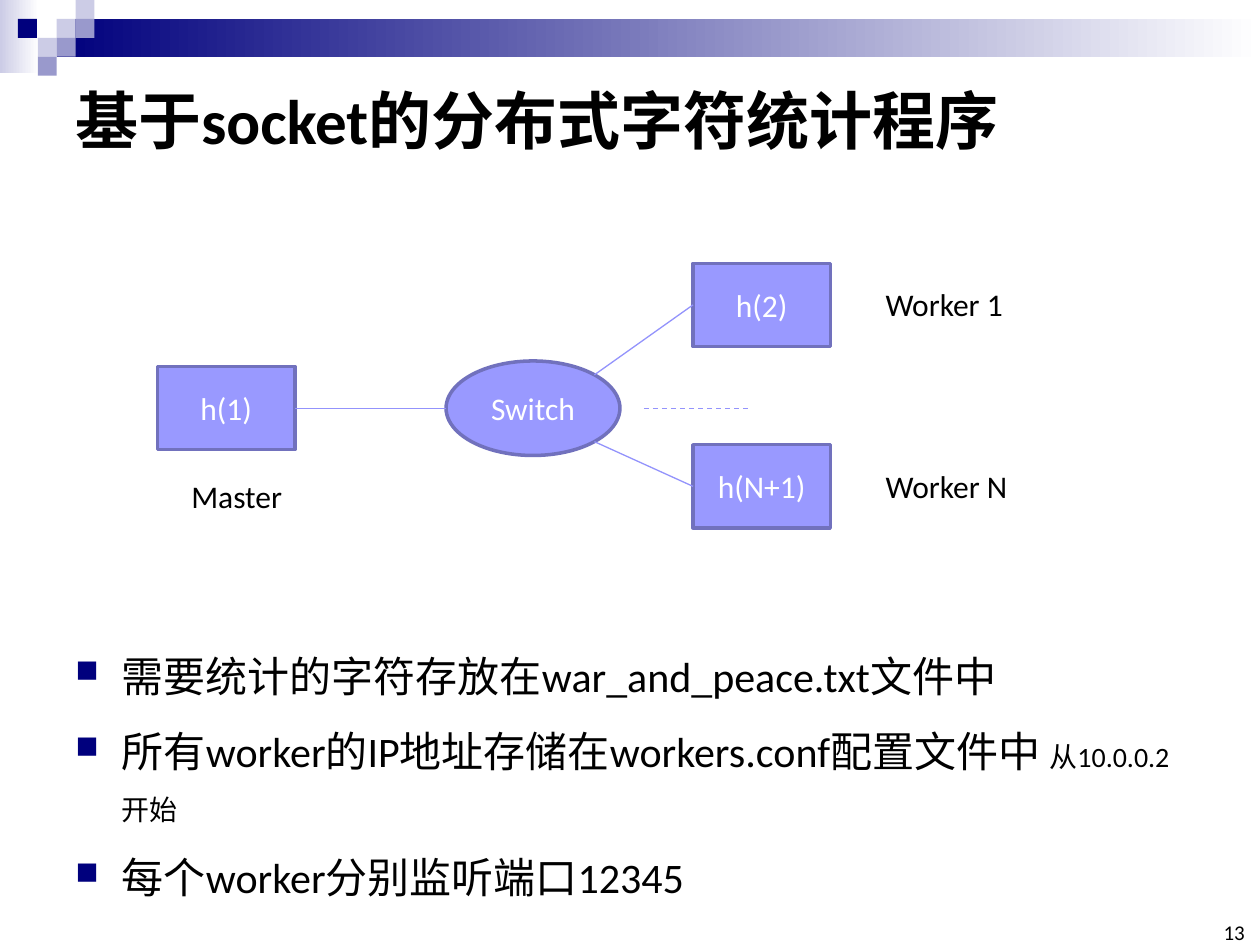
from math import sqrt

from lxml import etree
from pptx import Presentation
from pptx import util as u
from pptx.dml.color import RGBColor
from pptx.enum import dml, shapes, text
from pptx.oxml import ns

WIDTH, HEIGHT = 10, 7.5
THEME = {
    "font": "Calibri", "ink": "000000", "navy": "00007D", "mid": "9999CC",
    "pale": "CCCCE6", "white": "FFFFFF", "node": "9999FF", "edge": "7171BD",
    "link": "9393FC",
    "title": 36, "body": 24, "small": 16, "label": 18, "number": 12,
}

TITLE = "基于socket的分布式字符统计程序"
PAGE_NUMBER = "13"
BULLETS = [
    [("需要统计的字符存放在war_and_peace.txt文件中", "body")],
    [("所有worker的IP地址存储在workers.conf配置文件中 ", "body"),
     ("从10.0.0.2开始", "small")],
    [("每个worker分别监听端口12345", "body")],
]

# Header bands: left, top, width, height, first colour
BANDS = [(0, 0, 0.31, 0.58, "pale"), (0.45, 0.15, 9.55, 0.3, "navy")]
# Header tiles: column, row, colour
TILE = 0.15
TILES = [(3, 1, "pale"), (4, 0, "pale"), (4, 1, "mid"), (2, 2, "pale"),
         (0.95, 1, "navy"), (3, 2, "mid"), (2, 3, "mid")]

# Network: name -> text, left, centre height
HOST_SIZE = (1.09, 0.66)
SWITCH_SIZE = (1.38, 0.75)
AXIS = 3.24
HOSTS = {"master": ("h(1)", 1.25, AXIS), "first": ("h(2)", 5.5, 2.42),
         "last": ("h(N+1)", 5.5, 3.86)}
SWITCH = ("Switch", 3.54, AXIS)
# Labels: text, left, top, width
LABELS = [("Master", 1.42, 3.74, 0.93), ("Worker 1", 6.93, 2.21, 1.14),
          ("Worker N", 6.93, 3.66, 1.18)]


def color(name):
    """Return a theme colour."""
    return RGBColor.from_string(THEME[name])


def style(span, size, ink="ink", bold=False):
    """Format one run."""
    span.font.name = THEME["font"]
    span.font.size = u.Pt(THEME[size])
    span.font.bold = bold
    span.font.color.rgb = color(ink)


def add_box(page, frame, words, size, wrap=True, bold=False):
    """Add a text box with one paragraph and return it."""
    box = page.shapes.add_textbox(*map(u.Inches, frame))
    box.text_frame.text = words
    box.text_frame.word_wrap = wrap
    style(box.text_frame.paragraphs[0].runs[0], size, bold=bold)
    return box


def add_block(page, frame, fill, kind=shapes.MSO_SHAPE.RECTANGLE):
    """Add a plain filled shape without an outline."""
    block = page.shapes.add_shape(kind, *map(u.Inches, frame))
    block.shadow.inherit = False
    block.fill.solid()
    block.fill.fore_color.rgb = color(fill)
    block.line.fill.background()
    return block


def add_header(page):
    """Draw the fading bands and the tiles on top of them."""
    for *frame, first in BANDS:
        band = add_block(page, frame, first)
        band.fill.gradient()
        band.fill.gradient_angle = 0
        for stop, name in zip(band.fill.gradient_stops, (first, "white")):
            stop.color.rgb = color(name)
    for column, row, fill in TILES:
        add_block(page, (column * TILE, row * TILE, TILE, TILE), fill)


def add_node(page, node, size, kind):
    """Add a network node centred on its height."""
    words, left, middle = node
    width, height = size
    block = add_block(page, (left, middle - height / 2, width, height), "node", kind)
    block.line.color.rgb = color("edge")
    block.line.width = u.Pt(2)
    frame = block.text_frame
    frame.text = words
    frame.word_wrap = True
    frame.vertical_anchor = text.MSO_ANCHOR.MIDDLE
    para = frame.paragraphs[0]
    para.alignment = text.PP_ALIGN.CENTER
    style(para.runs[0], "label", "white")


def add_link(page, start, end, dashed=False):
    """Draw a thin line between two points."""
    link = page.shapes.add_connector(
        shapes.MSO_CONNECTOR.STRAIGHT, *map(u.Inches, start + end))
    link.line.color.rgb = color("link")
    link.line.width = u.Pt(0.75)
    if dashed:
        link.line.dash_style = dml.MSO_LINE.DASH
    etree.SubElement(link._element.spPr, ns.qn("a:effectLst"))


def add_network(page):
    """Draw the hosts, the switch, their links and their labels."""
    add_node(page, SWITCH, SWITCH_SIZE, shapes.MSO_SHAPE.OVAL)
    for host in HOSTS.values():
        add_node(page, host, HOST_SIZE, shapes.MSO_SHAPE.RECTANGLE)
    left = SWITCH[1]
    width, height = SWITCH_SIZE
    corner_x = left + width / 2 * (1 + 1 / sqrt(2))
    rise = height / 2 / sqrt(2)
    add_link(page, (HOSTS["master"][1] + HOST_SIZE[0], AXIS), (left, AXIS))
    for name, side in (("first", -1), ("last", 1)):
        add_link(page, (corner_x, AXIS + side * rise), HOSTS[name][1:])
    add_link(page, (5.11, AXIS), (5.94, AXIS), dashed=True)
    for words, x, y, span_width in LABELS:
        add_box(page, (x, y, span_width, 0.4), words, "label", wrap=False)


def add_bullet(para):
    """Give a paragraph a hanging square bullet."""
    props = para._p.get_or_add_pPr()
    indent = u.Inches(0.37)
    props.set("marL", str(indent))
    props.set("indent", str(-indent))
    tint = etree.SubElement(props, ns.qn("a:buClr"))
    etree.SubElement(tint, ns.qn("a:srgbClr"), val=THEME["navy"])
    etree.SubElement(props, ns.qn("a:buSzPct"), val="75000")
    etree.SubElement(props, ns.qn("a:buChar"), char="■")


def add_bullets(page):
    """Write the bulleted notes."""
    box = page.shapes.add_textbox(*map(u.Inches, (0.5, 4.91, 9, 2.18)))
    frame = box.text_frame
    frame.word_wrap = True
    for index, parts in enumerate(BULLETS):
        para = frame.add_paragraph() if index else frame.paragraphs[0]
        para.line_spacing = 1.5
        add_bullet(para)
        for words, size in parts:
            span = para.add_run()
            span.text = words
            style(span, size)


def add_page_number(page):
    """Write the page number in the lower right corner."""
    box = add_box(page, (9.65, 7.33, 0.23, 0.17), PAGE_NUMBER, "number")
    frame = box.text_frame
    frame.margin_left = frame.margin_right = 0
    frame.margin_top = frame.margin_bottom = 0
    frame.vertical_anchor = text.MSO_ANCHOR.BOTTOM
    frame.paragraphs[0].alignment = text.PP_ALIGN.RIGHT


deck = Presentation()
deck.slide_width, deck.slide_height = u.Inches(WIDTH), u.Inches(HEIGHT)
page = deck.slides.add_slide(deck.slide_layouts[6])
add_header(page)
title = add_box(page, (0.5, 0.5, 9, 0.89), TITLE, "title", bold=True)
title.text_frame.vertical_anchor = text.MSO_ANCHOR.MIDDLE
add_page_number(page)
add_bullets(page)
add_network(page)
deck.save("out.pptx")
